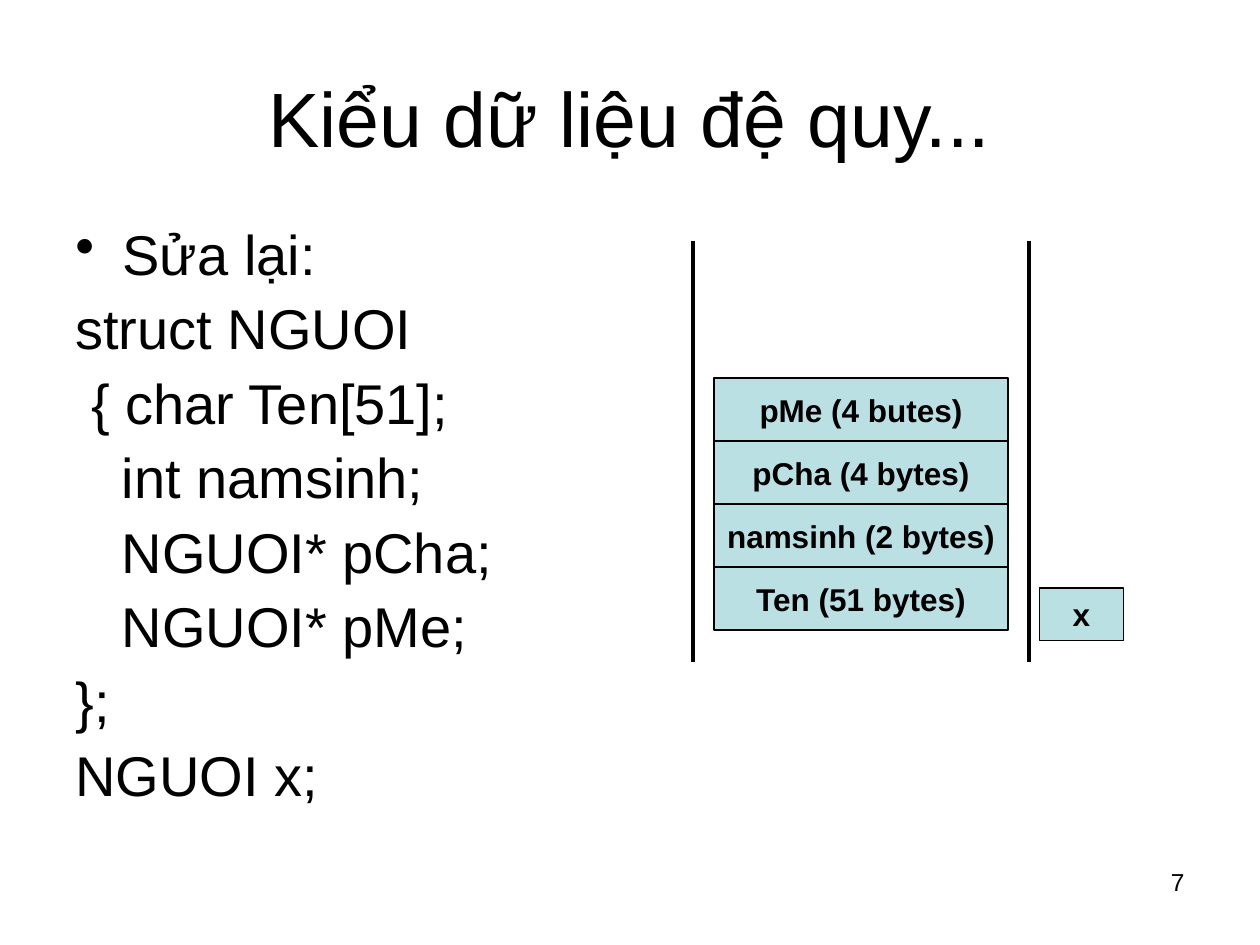
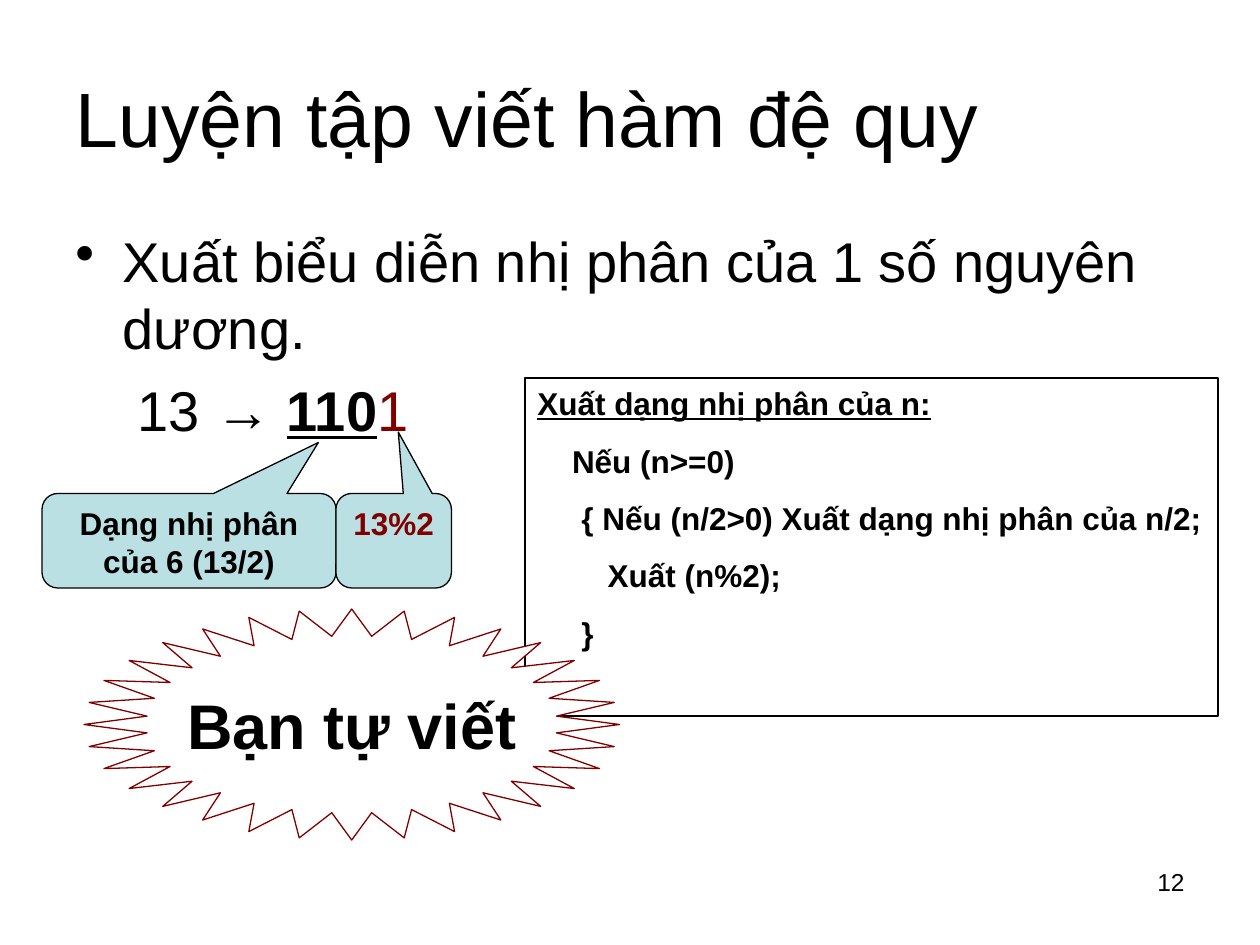
import math

from lxml import etree
from pptx import Presentation
from pptx import util as u
from pptx.dml.color import RGBColor
from pptx.enum import shapes, text
from pptx.oxml import ns

PX = 7620  # EMU per px, 120 px to the inch
FONT = "Arial"
COLORS = {"ink": "000000", "paper": "FFFFFF", "cell": "BBE0E3", "accent": "800000"}
LEFT, CENTER, RIGHT = text.PP_ALIGN.LEFT, text.PP_ALIGN.CENTER, text.PP_ALIGN.RIGHT
TOP, MIDDLE = text.MSO_ANCHOR.TOP, text.MSO_ANCHOR.MIDDLE
HANG = 45


def write(shape, lines, size, bold=False, align=LEFT, anchor=TOP, wrap=True,
          color="ink", before=0, spacing=1.0):
    """Fill a shape with lines given as (indent in px, wording); indent None means a bullet."""
    frame = shape.text_frame
    frame.word_wrap = wrap
    frame.auto_size = text.MSO_AUTO_SIZE.NONE
    frame.vertical_anchor = anchor
    for number, (indent, wording) in enumerate(lines):
        para = frame.add_paragraph() if number else frame.paragraphs[0]
        para.text = wording
        para.alignment = align
        para.space_before = u.Pt(before)
        para.line_spacing = spacing
        para.font.size = u.Pt(size)
        props = para._p.get_or_add_pPr()
        if indent is None:
            props.set("marL", str(HANG * PX))
            props.set("indent", str(-HANG * PX))
            bullet = etree.SubElement(props, ns.qn("a:buChar"), char="•")
            props.find(ns.qn("a:defRPr")).addprevious(bullet)
        elif indent:
            props.set("marL", str(indent * PX))
            props.set("indent", "0")
        for span in para.runs:
            span.font.name = FONT
            span.font.size = u.Pt(size)
            span.font.bold = bold
            span.font.color.rgb = RGBColor.from_string(COLORS[color])


def paint(shape, fill=None, line="ink"):
    shape.shadow.inherit = False
    if fill:
        shape.fill.solid()
        shape.fill.fore_color.rgb = RGBColor.from_string(COLORS[fill])
    else:
        shape.fill.background()
    shape.line.color.rgb = RGBColor.from_string(COLORS[line])
    shape.line.width = u.Pt(0.75)


deck = Presentation()
deck.slide_width, deck.slide_height = 1200 * PX, 900 * PX

# Shared frame: title, body text and page number
frames = [
    ("Kiểu dữ liệu đệ quy...", CENTER, "7", (440, 594), 0.9,
     [(None, "Sửa lại:"), (0, "struct NGUOI"), (15, "{ char Ten[51];"),
      (44, "int namsinh;"), (44, "NGUOI* pCha;"), (44, "NGUOI* pMe;"),
      (0, "};"), (0, "NGUOI x;")]),
    ("Luyện tập viết hàm đệ quy", LEFT, "12", (1080, 230), 1.0,
     [(None, "Xuất biểu diễn nhị phân của 1 số nguyên dương."), (59, "13 → ")]),
]
pages, bodies = [], []
for heading, align, number, (width, height), spacing, lines in frames:
    page = deck.slides.add_slide(deck.slide_layouts[5])
    title = page.shapes.title
    title.left, title.top, title.width, title.height = 60 * PX, 36 * PX, 1080 * PX, 150 * PX
    write(title, [(0, heading)], 44, align=align, anchor=MIDDLE)
    body = page.shapes.add_textbox(60 * PX, 210 * PX, width * PX, height * PX)
    write(body, lines, 32, before=8, spacing=spacing)
    footer = page.shapes.add_textbox(860 * PX, 820 * PX, 280 * PX, 62 * PX)
    write(footer, [(0, number)], 14, align=RIGHT)
    pages.append(page)
    bodies.append(body)
struct_page, binary_page = pages

# Memory layout of the struct, stacked upwards
fields = ["Ten (51 bytes)", "namsinh (2 bytes)", "pCha (4 bytes)", "pMe (4 butes)"]
cells = [(680, 540 - 60 * row, 280, 60, field) for row, field in enumerate(fields)]
cells.append((990, 560, 80, 50, "x"))
for *place, label in cells:
    cell = struct_page.shapes.add_shape(shapes.MSO_SHAPE.RECTANGLE, *[PX * v for v in place])
    paint(cell, "cell")
    write(cell, [(0, label)], 18, bold=True, align=CENTER, anchor=MIDDLE, wrap=False)

for x in (660, 980):
    wall = struct_page.shapes.add_connector(
        shapes.MSO_CONNECTOR.STRAIGHT, x * PX, 230 * PX, x * PX, 630 * PX)
    wall.line.color.rgb = RGBColor.from_string(COLORS["ink"])
    wall.line.width = u.Pt(2.25)
    etree.SubElement(wall._element.spPr, ns.qn("a:effectLst"))

# Binary digits: the recursive part and the last remainder
example = bodies[1].text_frame.paragraphs[1]
for digits, color, strong in [("110", "ink", True), ("1", "accent", False)]:
    span = example.add_run()
    span.text = digits
    span.font.name = FONT
    span.font.size = u.Pt(32)
    span.font.bold = span.font.underline = strong
    span.font.color.rgb = RGBColor.from_string(COLORS[color])

callouts = [(40, 280, 0.44, -1.04, "Dạng nhị phân của 6 (13/2)", "ink"),
            (320, 110, 0.04, -1.15, "13%2", "accent")]
for x, width, tip_x, tip_y, label, color in callouts:
    callout = binary_page.shapes.add_shape(
        shapes.MSO_SHAPE.ROUNDED_RECTANGULAR_CALLOUT, x * PX, 470 * PX, width * PX, 90 * PX)
    callout.adjustments[0], callout.adjustments[1] = tip_x, tip_y
    paint(callout, "cell")
    write(callout, [(0, label)], 18, bold=True, align=CENTER, color=color)

algorithm = binary_page.shapes.add_shape(
    shapes.MSO_SHAPE.RECTANGLE, 500 * PX, 360 * PX, 660 * PX, 322 * PX)
paint(algorithm)
write(algorithm, [(0, "Xuất dạng nhị phân của n:"), (33, "Nếu (n>=0)"),
                  (42, "{ Nếu (n/2>0) Xuất dạng nhị phân của n/2;"),
                  (67, "Xuất (n%2);"), (42, "}")], 18, bold=True, before=11.2)
algorithm.text_frame.paragraphs[0].runs[0].font.underline = True

# Burst with 32 spikes
spikes, inner = 32, 0.77
corners = []
for step in range(2 * spikes):
    angle = math.pi * step / spikes
    reach = inner if step % 2 else 1
    corners.append((335 - 255 * reach * math.cos(angle), 690 + 110 * reach * math.sin(angle)))
outline = binary_page.shapes.build_freeform(*corners[0], scale=PX)
outline.add_line_segments(corners[1:], close=True)
burst = outline.convert_to_shape()
paint(burst, "paper", "accent")
write(burst, [(0, "Bạn tự viết")], 36, bold=True, align=CENTER, anchor=MIDDLE, wrap=False)

deck.save("out.pptx")
